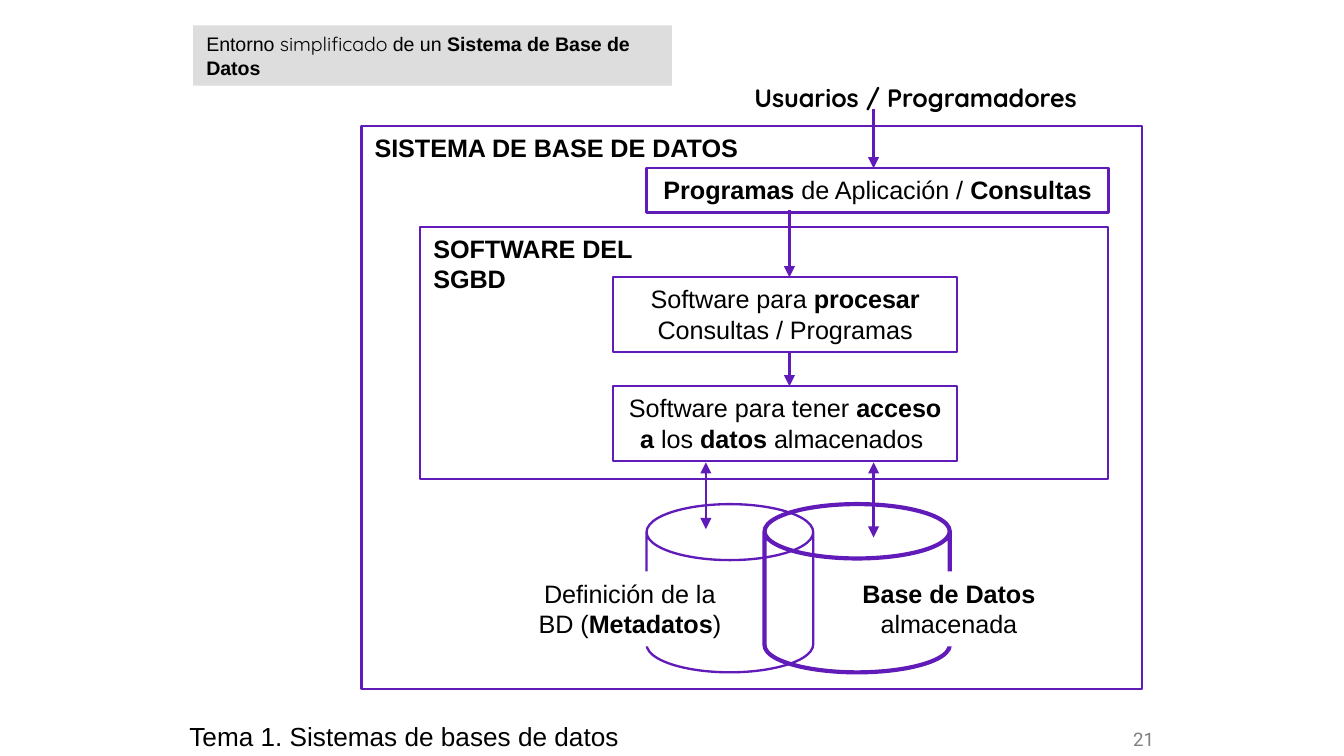
from dataclasses import dataclass

from lxml import etree
from pptx import Presentation
from pptx import util as u
from pptx.dml import color
from pptx.enum import shapes, text
from pptx.oxml import ns

INK = "611BB8"
LEFT, MID, RIGHT = text.PP_ALIGN.LEFT, text.PP_ALIGN.CENTER, text.PP_ALIGN.RIGHT
RECT, CAN = shapes.MSO_SHAPE.RECTANGLE, shapes.MSO_SHAPE.CAN


@dataclass
class Box:
    x: float
    y: float
    w: float
    h: float
    words: str = ""
    fill: str = ""
    line: float = 0
    align: text.PP_ALIGN = MID
    size: float = 13.5
    font: str = "Arial"
    tint: str = "000000"
    kind: shapes.MSO_SHAPE = RECT
    lid: float = 0


@dataclass
class Arrow:
    x: float
    top: float
    end: float
    both: bool = False


def rgb(code: str) -> color.RGBColor:
    return color.RGBColor.from_string(code)


def write(shape, box: Box) -> None:
    frame = shape.text_frame
    frame.word_wrap = True
    frame.vertical_anchor = text.MSO_ANCHOR.TOP
    para = frame.paragraphs[0]
    para.alignment = box.align
    for i, part in enumerate(box.words.split("*")):
        if part:
            run = para.add_run()
            run.text = part
            run.font.bold = i % 2 == 1
            run.font.size = u.Pt(box.size)
            run.font.name = box.font
            run.font.color.rgb = rgb(box.tint)


def draw(slide, box: Box):
    spot = [u.Cm(n) for n in (box.x, box.y, box.w, box.h)]
    if not box.fill and not box.line:
        shape = slide.shapes.add_textbox(*spot)
    else:
        shape = slide.shapes.add_shape(box.kind, *spot)
        shape.shadow.inherit = False
        if box.fill:
            shape.fill.solid()
            shape.fill.fore_color.rgb = rgb(box.fill)
        else:
            shape.fill.background()
        if box.line:
            shape.line.color.rgb = rgb(INK)
            shape.line.width = u.Pt(box.line)
        else:
            shape.line.fill.background()
        if box.lid:
            shape.adjustments[0] = box.lid
    if box.words:
        write(shape, box)
    return shape


def link(slide, arrow: Arrow) -> None:
    x = u.Cm(arrow.x)
    line = slide.shapes.add_connector(
        shapes.MSO_CONNECTOR.STRAIGHT, x, u.Cm(arrow.top), x, u.Cm(arrow.end))
    line.line.color.rgb = rgb(INK)
    line.line.width = u.Pt(1.25)
    edge = line.line._get_or_add_ln()
    for tag in ("a:headEnd", "a:tailEnd") if arrow.both else ("a:tailEnd",):
        etree.SubElement(edge, ns.qn(tag), type="triangle")
    etree.SubElement(line._element.spPr, ns.qn("a:effectLst"))


PARTS = [
    Box(3.33, 13.49, 14.12, 0.64, "Tema 1. Sistemas de bases de datos",
        align=LEFT, size=14),
    Box(12.22, 9.53, 3.15, 3.18, line=1.25, kind=CAN, lid=0.336),
    Box(14.45, 9.53, 3.5, 3.18, line=2.25, kind=CAN, lid=0.323),
    Arrow(13.34, 8.74, 10, True),
    Arrow(16.51, 8.74, 10.16, True),
    Box(7.94, 4.29, 13, 4.76, line=1.25),
    Box(11.59, 5.24, 6.5, 1.42, "Software para *procesar* Consultas / Programas",
        line=1.25),
    Box(11.59, 7.3, 6.5, 1.42,
        "Software para tener *acceso a* los *datos* almacenados ", line=1.25),
    Box(7.94, 4.29, 5.72, 1.42, "*SOFTWARE DEL SGBD*", align=LEFT),
    Arrow(14.92, 6.66, 7.3),
    Box(12.22, 3.18, 8.73, 0.84, "*Programas* de Aplicación / *Consultas*",
        line=1.25),
    Arrow(14.92, 3.97, 5.24),
    Box(6.83, 2.38, 14.76, 10.64, line=1.25),
    Box(6.83, 2.38, 7.62, 0.84, "*SISTEMA DE BASE DE DATOS*", align=LEFT),
    Box(13.81, 1.43, 6.99, 0.84, "*Usuarios / Programadores*", font="Quicksand"),
    Arrow(16.51, 2.06, 3.18),
    Box(9.84, 10.8, 4.13, 1.42, "Definición de la BD (*Metadatos*)", "FFFFFF"),
    Box(16.03, 10.8, 3.81, 1.42, "*Base de Datos* almacenada", "FFFFFF"),
]
TITLE = Box(3.65, 0.48, 9.05, 1.14,
            "Entorno **simplificado** de un* Sistema de Base de Datos*",
            "DDDDDD", align=LEFT, size=10.5)
PAGE = Box(18.1, 13.49, 3.96, 0.97, "21", align=RIGHT, size=10,
           font="Roboto", tint="7F7F7F")


def main() -> None:
    deck = Presentation()
    deck.slide_width, deck.slide_height = u.Cm(25.4), u.Cm(14.29)
    slide = deck.slides.add_slide(deck.slide_layouts[6])
    for part in PARTS:
        if isinstance(part, Box):
            draw(slide, part)
        else:
            link(slide, part)
    title = draw(slide, TITLE)
    title.text_frame.paragraphs[0].runs[1].font.name = "Quicksand"
    page = draw(slide, PAGE).text_frame
    page.vertical_anchor = text.MSO_ANCHOR.MIDDLE
    page.margin_top = page.margin_bottom = u.Cm(0.25)
    deck.save("out.pptx")


if __name__ == "__main__":
    main()
